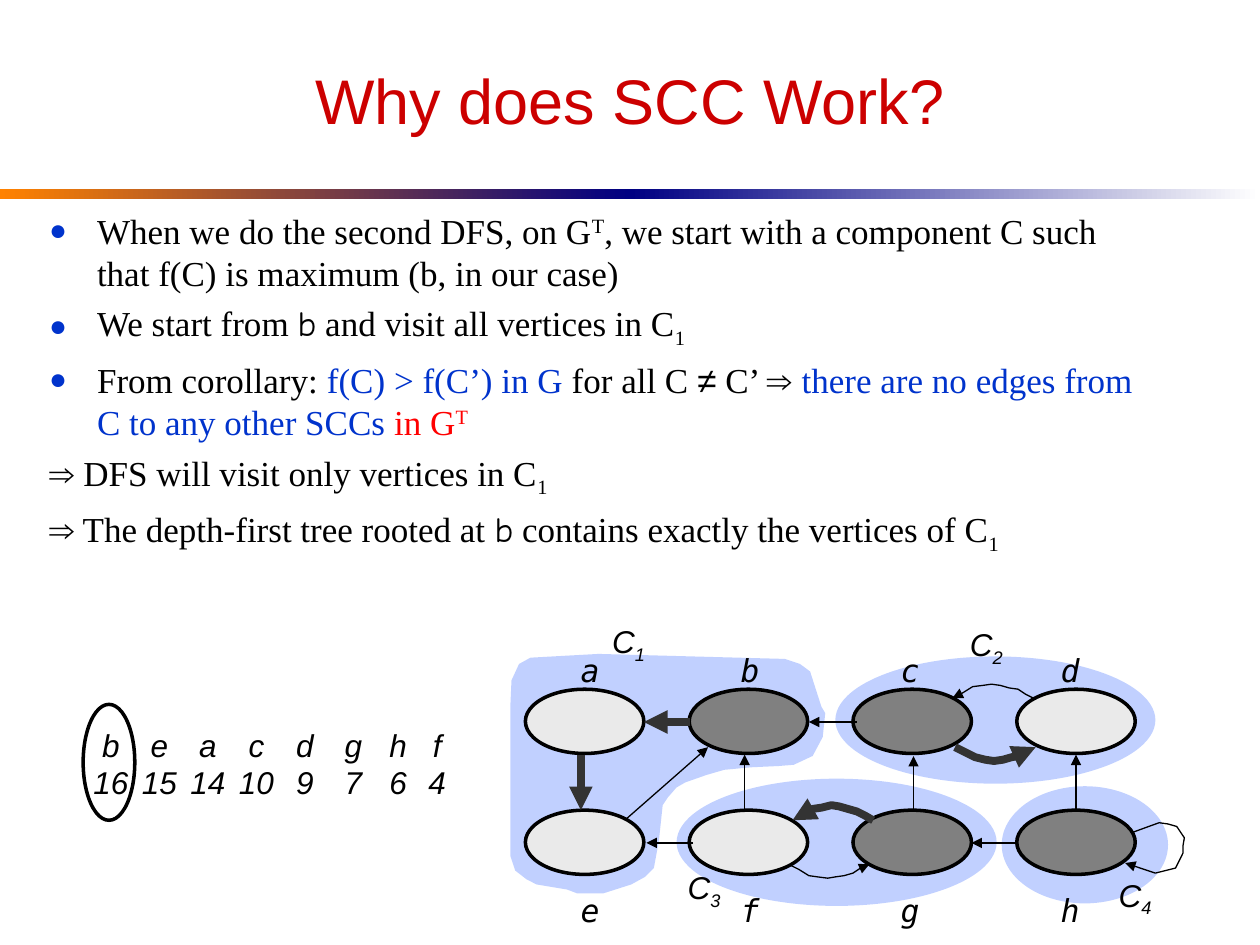
from lxml.etree import SubElement
from pptx import Presentation
from pptx.dml.color import RGBColor
from pptx.enum.shapes import MSO_CONNECTOR, MSO_SHAPE
from pptx.enum.text import MSO_ANCHOR, MSO_AUTO_SIZE, PP_ALIGN
from pptx.oxml.ns import qn
from pptx.util import Inches, Pt

COLORS = {
    "title": "CC0000", "text": "000000", "blue": "0033CC", "red": "FF0000",
    "orange": "FF8200", "navy": "000082", "white": "FFFFFF", "component": "3366FF",
    "open": "EAEAEA", "visited": "808080", "tree": "333333",
}
SERIF, SANS, CASUAL, MONO = "Times New Roman", "Arial", "Comic Neue", "DejaVu Sans Mono"
SUPERSCRIPT, SUBSCRIPT = 30000, -25000

BODY = [
    (True, [("When we do the second DFS, on G",), ("T", SERIF, "text", SUPERSCRIPT),
            (", we start with a component C such that f(C) is maximum (b, in our case)",)]),
    (True, [("We start from ",), ("b", CASUAL), (" and visit all vertices in C",),
            ("1", SERIF, "text", SUBSCRIPT)]),
    (True, [("From corollary: ",), ("f(C) > f(C’) in G ", SERIF, "blue"), ("for all C ",),
            ("≠", SANS), (" C’ ",), ("⇒ ", SANS),
            ("there are no edges from C to any other SCCs ", SERIF, "blue"),
            ("in G", SERIF, "red"), ("T", SERIF, "red", SUPERSCRIPT)]),
    (False, [("⇒", SANS), (" DFS will visit only vertices in C",),
             ("1", SERIF, "text", SUBSCRIPT)]),
    (False, [("⇒", SANS), (" The depth-first tree rooted at ",), ("b", CASUAL),
             (" contains exactly the vertices of C",), ("1", SERIF, "text", SUBSCRIPT)]),
]
FIRST_COMPONENT = [
    (4.21, 5.22), (4.75, 5.19), (6.23, 5.23), (6.35, 5.27), (6.43, 5.33), (6.52, 5.61),
    (6.55, 5.66), (6.53, 5.85), (6.45, 6), (6.3, 6.07), (6.18, 6.08), (5.96, 6.09),
    (5.75, 6.11), (5.61, 6.15), (5.44, 6.21), (5.37, 6.25), (5.3, 6.33), (5.26, 6.39),
    (5.23, 6.67), (5.19, 6.89), (5.12, 6.96), (5.01, 7.02), (4.79, 7.09), (4.58, 7.09),
    (4.5, 7.06), (4.26, 7.02), (4.18, 6.98), (4.09, 6.91), (4.05, 6.79), (4.05, 6.03),
    (4.05, 5.62), (4.06, 5.4), (4.12, 5.27),
]
COMPONENTS = [(7.95, 6.24, 1.32, 0.93), (6.63, 5.21, 2.54, 1.01), (5.37, 6.18, 2.54, 1.01)]
COMPONENT_LABELS = [("1", 4.76, 4.89), ("2", 7.6, 4.91), ("3", 5.36, 6.84), ("4", 8.78, 6.9)]
VERTEX_ROWS = [
    ("abcd", 5.47, 5.12, ["open", "visited", "visited", "open"]),
    ("efgh", 6.43, 7.02, ["open", "open", "visited", "visited"]),
]
STRAIGHT_EDGES = [
    (5.48, 5.73, 5.11, 5.73, True), (4.61, 5.99, 4.61, 6.43, True),
    (6.8, 5.73, 6.42, 5.73, False), (5.5, 6.69, 5.13, 6.69, False),
    (8.08, 6.69, 7.71, 6.69, False), (5.91, 6.42, 5.91, 5.99, False),
    (7.25, 6.43, 7.25, 6, False), (8.54, 6.43, 8.54, 5.99, False),
    (4.97, 6.5, 5.62, 5.93, False),
]
CURVED_EDGES = [
    ([(6.93, 6.51), (6.86, 6.47), (6.8, 6.44), (6.73, 6.42), (6.66, 6.4), (6.6, 6.39),
      (6.52, 6.41), (6.45, 6.42), (6.37, 6.46), (6.29, 6.51)], True),
    ([(8.2, 5.54), (8.14, 5.51), (8.08, 5.47), (8.01, 5.46), (7.94, 5.44), (7.87, 5.43),
      (7.8, 5.44), (7.72, 5.45), (7.64, 5.5), (7.56, 5.54)], False),
    ([(7.58, 5.93), (7.66, 5.97), (7.74, 6.01), (7.82, 6.03), (7.89, 6.04), (7.96, 6.03),
      (8.03, 6.01), (8.09, 6), (8.16, 5.96), (8.22, 5.93)], True),
    ([(6.26, 6.86), (6.34, 6.9), (6.42, 6.95), (6.49, 6.96), (6.57, 6.97), (6.63, 6.96),
      (6.7, 6.95), (6.77, 6.93), (6.83, 6.89), (6.9, 6.86)], False),
    ([(8.98, 6.61), (9.09, 6.57), (9.2, 6.53), (9.27, 6.54), (9.34, 6.56), (9.4, 6.65),
      (9.39, 6.71), (9.39, 6.77), (9.33, 6.89), (9.25, 6.91), (9.17, 6.93), (9.05, 6.89),
      (8.93, 6.85)], False),
]
FINISH_TIMES = [("b", 16, 0.48), ("e", 15, 0.48), ("a", 14, 0.48), ("c", 10, 0.48),
                ("d", 9, 0.48), ("g", 7, 0.48), ("h", 6, 0.42), ("f", 4, 0.39)]


def rgb(name):
    """Return the named colour."""
    return RGBColor.from_string(COLORS[name])


def place(shape, *box):
    """Move and size a shape in inches."""
    shape.left, shape.top, shape.width, shape.height = map(Inches, box)


def format_run(run, size, font, color="text", baseline=0, italic=False):
    """Format one run of text."""
    run.font.size, run.font.name, run.font.italic = Pt(size), font, italic
    run.font.color.rgb = rgb(color)
    if baseline:
        run._r.get_or_add_rPr().set("baseline", str(baseline))


def set_bullet(paragraph, bulleted):
    """Give a paragraph its hanging indent and its bullet, if any."""
    properties = paragraph._p.get_or_add_pPr()
    properties.set("marL", str(Inches(0.38)))
    properties.set("indent", str(-Inches(0.38)))
    if bulleted:
        color = SubElement(properties, qn("a:buClr"))
        SubElement(color, qn("a:srgbClr"), val=COLORS["blue"])
        SubElement(properties, qn("a:buSzPct"), val="85000")
        SubElement(properties, qn("a:buChar"), char="●")
    else:
        SubElement(properties, qn("a:buNone"))


def fill_body(body):
    """Write the list into the body placeholder."""
    frame = body.text_frame
    frame.auto_size = MSO_AUTO_SIZE.NONE
    for index, (bulleted, pieces) in enumerate(BODY):
        paragraph = frame.add_paragraph() if index else frame.paragraphs[0]
        paragraph.space_before = Pt(5)
        set_bullet(paragraph, bulleted)
        for text, *style in pieces:
            run = paragraph.add_run()
            run.text = text
            format_run(run, 20, *(style or [SERIF]))


def add_gradient_bar(shapes, left, start, end):
    """Add one half of the bar under the title."""
    bar = shapes.add_shape(MSO_SHAPE.RECTANGLE, Inches(left), Inches(1.5), Inches(5), Inches(0.08))
    bar.shadow.inherit = False
    bar.line.fill.background()
    bar.fill.gradient()
    bar.fill.gradient_angle = 0
    for stop, color in zip(bar.fill.gradient_stops, (start, end)):
        stop.color.rgb = rgb(color)


def style_component(shape):
    """Give a component area its transparent fill."""
    shape.shadow.inherit = False
    shape.line.fill.background()
    shape.fill.solid()
    shape.fill.fore_color.rgb = rgb("component")
    color = shape._element.spPr.find(".//" + qn("a:srgbClr"))
    SubElement(color, qn("a:alpha"), val="30000")


def add_ellipse(shapes, *box, fill=None):
    """Add an outlined ellipse."""
    ellipse = shapes.add_shape(MSO_SHAPE.OVAL, *map(Inches, box))
    ellipse.shadow.inherit = False
    ellipse.line.color.rgb = rgb("text")
    ellipse.line.width = Pt(2)
    if fill:
        ellipse.fill.solid()
        ellipse.fill.fore_color.rgb = rgb(fill)
    else:
        ellipse.fill.background()


def add_label(shapes, text, *box, font=SANS, subscript=None, centered=False):
    """Add an italic label with an optional subscript."""
    frame = shapes.add_textbox(*map(Inches, box)).text_frame
    frame.word_wrap = centered
    frame.text = text
    for paragraph in frame.paragraphs:
        paragraph.alignment = PP_ALIGN.CENTER if centered else PP_ALIGN.LEFT
        format_run(paragraph.runs[0], 18, font, italic=True)
    if subscript:
        run = frame.paragraphs[0].add_run()
        run.text = subscript
        format_run(run, 18, font, baseline=SUBSCRIPT, italic=True)


def build_outline(shapes, points, close):
    """Build a freeform through the points."""
    (left, top), *rest = [(Inches(x), Inches(y)) for x, y in points]
    builder = shapes.build_freeform(left, top)
    builder.add_line_segments(rest, close=close)
    return builder.convert_to_shape()


def style_edge(edge, is_tree):
    """Give an edge its line and its arrowhead."""
    edge.line.color.rgb = rgb("tree" if is_tree else "text")
    edge.line.width = Pt(4.5 if is_tree else 0.75)
    SubElement(edge.line._get_or_add_ln(), qn("a:tailEnd"), type="triangle")


def add_graph(shapes):
    """Add vertices, their names and all edges."""
    for names, top, label_top, fills in VERTEX_ROWS:
        for column, (name, fill) in enumerate(zip(names, fills)):
            add_ellipse(shapes, 4.17 + 1.3 * column, top, 0.94, 0.51, fill=fill)
            add_label(shapes, name, 4.51 + 1.27 * column, label_top, 0.34, 0.4, font=MONO)
    for *ends, is_tree in STRAIGHT_EDGES:
        edge = shapes.add_connector(MSO_CONNECTOR.STRAIGHT, *map(Inches, ends))
        style_edge(edge, is_tree)
        SubElement(edge._element.spPr, qn("a:effectLst"))
    for points, is_tree in CURVED_EDGES:
        edge = build_outline(shapes, points, False)
        edge.fill.background()
        style_edge(edge, is_tree)
        edge.shadow.inherit = False


def add_finish_times(shapes):
    """Add the row of vertices with their finish times."""
    left = 0.64
    for vertex, time, width in FINISH_TIMES:
        add_label(shapes, f"{vertex}\n{time}", left, 5.71, width, 0.7, centered=True)
        left += width - 0.095


def main():
    """Build the slide and save it."""
    presentation = Presentation()
    presentation.slide_width, presentation.slide_height = Inches(10), Inches(7.5)
    slide = presentation.slides.add_slide(presentation.slide_layouts[1])
    shapes = slide.shapes
    title, body = slide.placeholders
    place(title, 0.5, 0.25, 9, 1.08)
    title.text_frame.text = "Why does SCC Work?"
    title.text_frame.vertical_anchor = MSO_ANCHOR.MIDDLE
    format_run(title.text_frame.paragraphs[0].runs[0], 36, SANS, "title")
    place(body, 0.29, 1.61, 9, 3.9)
    fill_body(body)
    add_gradient_bar(shapes, 0, "orange", "navy")
    add_gradient_bar(shapes, 5, "navy", "white")
    style_component(build_outline(shapes, FIRST_COMPONENT, True))
    for box in COMPONENTS:
        style_component(shapes.add_shape(MSO_SHAPE.OVAL, *map(Inches, box)))
    for number, left, top in COMPONENT_LABELS:
        add_label(shapes, "C", left, top, 0.46, 0.44, subscript=number)
    add_graph(shapes.add_group_shape().shapes)
    add_finish_times(shapes.add_group_shape().shapes)
    add_ellipse(shapes, 0.66, 5.59, 0.41, 0.92)
    presentation.save("out.pptx")


if __name__ == "__main__":
    main()
